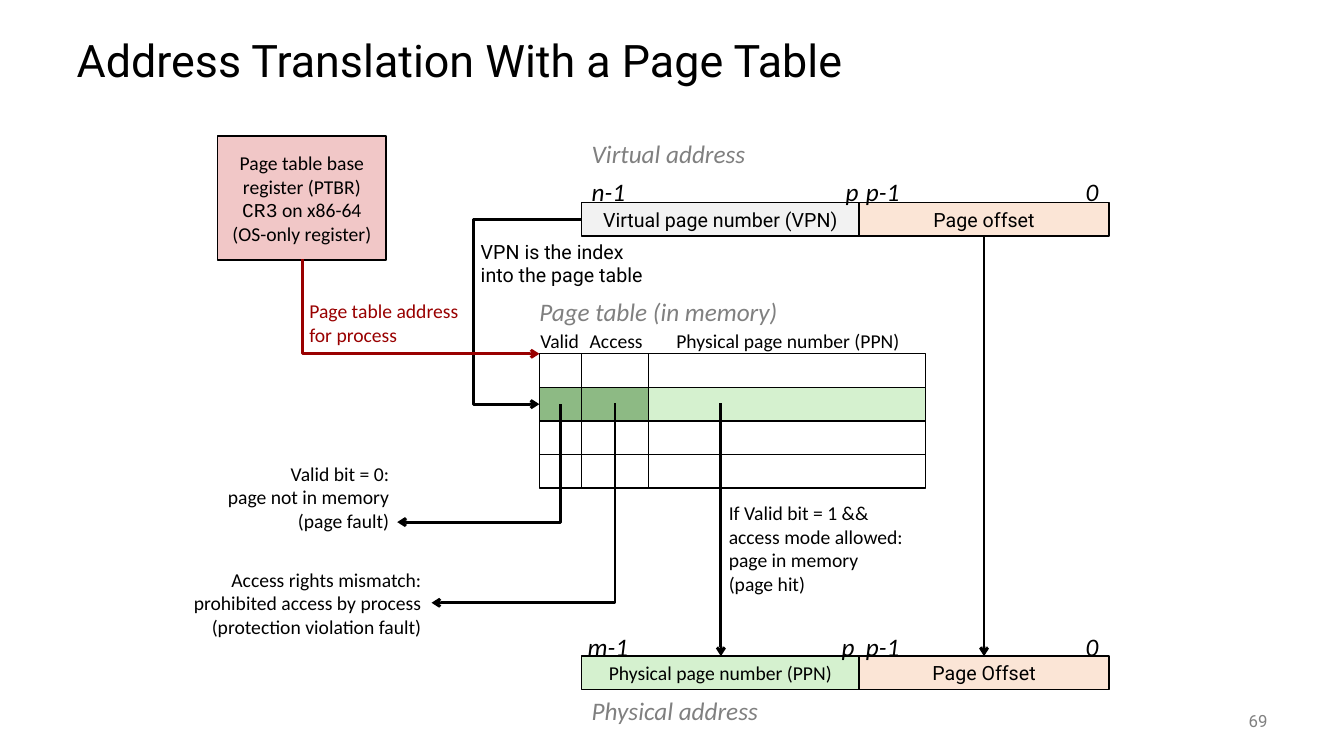
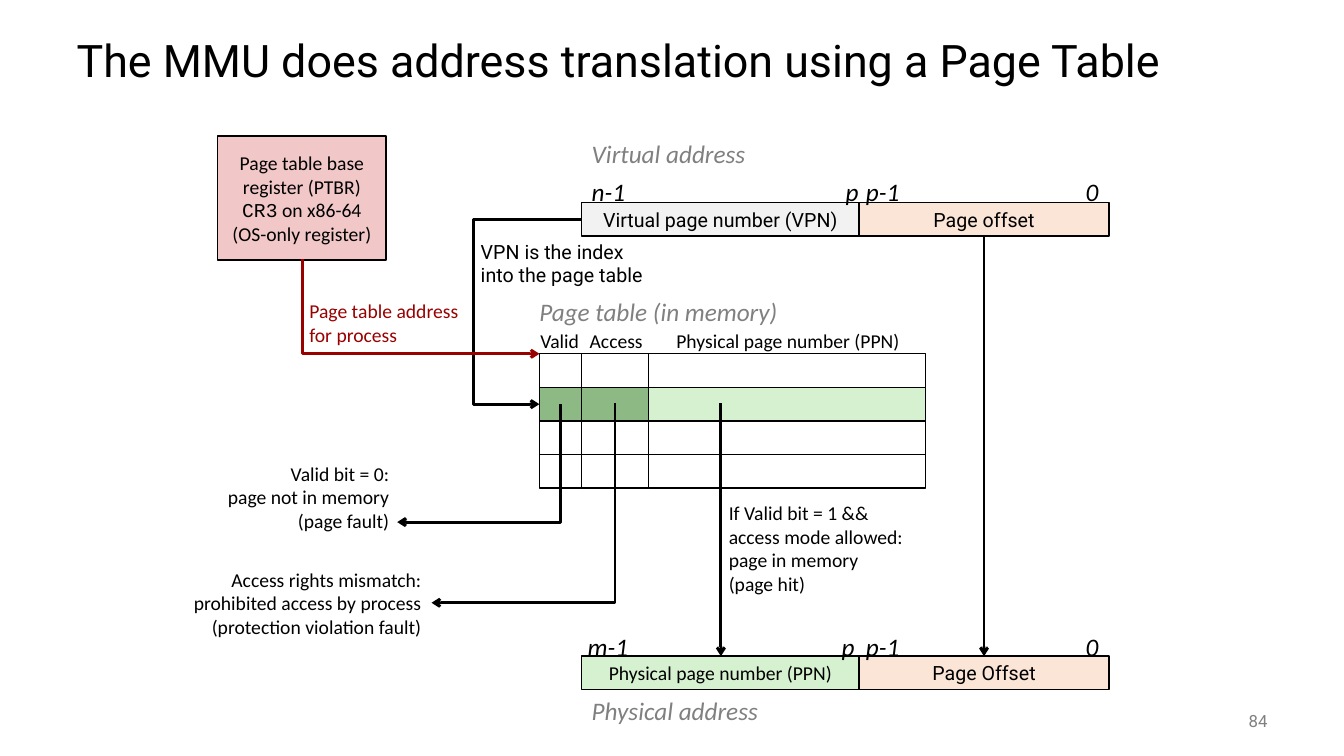
"""Build two slides that show address translation with a page table."""
import pptx
import pptx.util
import pptx.dml.color
import pptx.enum.shapes
import pptx.enum.text
import pptx.oxml.ns
from lxml import etree

Inches = pptx.util.Inches
Pt = pptx.util.Pt
Align = pptx.enum.text.PP_ALIGN
Anchor = pptx.enum.text.MSO_ANCHOR
Fit = pptx.enum.text.MSO_AUTO_SIZE
Link = pptx.enum.shapes.MSO_CONNECTOR
qn = pptx.oxml.ns.qn

HUES = {
    "black": "000000", "gray": "808080", "red": "990000", "pink": "F1C7C7",
    "pale": "F2F2F2", "peach": "FBE5D6", "mint": "D5F1CF", "green": "8DBA84",
}
LOOKS = {
    "title": {"name": "Roboto", "size": Pt(32)},
    "body": {"name": "Calibri", "size": Pt(14)},
    "plain": {"name": "Roboto", "size": Pt(14)},
    "code": {"name": "Courier New", "size": Pt(14)},
    "slant": {"name": "Calibri", "size": Pt(18), "italic": True},
    "foot": {"name": "Roboto", "size": Pt(12)},
}
ROW = 1 / 3


def hue(name):
    """Return the named colour."""
    return pptx.dml.color.RGBColor.from_string(HUES[name])


class Deck:
    """Hold the style and the current slide."""

    def __init__(self):
        """Start an empty wide deck."""
        self.prs = pptx.Presentation()
        self.prs.slide_width = Inches(13.33)
        self.prs.slide_height = Inches(7.5)
        self.slide = None

    def put(self, frame, lines, look, color="black", align=Align.LEFT):
        """Fill a frame, one paragraph a line; a line may be (text, look) pairs."""
        for i, line in enumerate(lines):
            par = frame.add_paragraph() if i else frame.paragraphs[0]
            par.alignment = align
            for text, kind in [(line, look)] if isinstance(line, str) else line:
                run = par.add_run()
                run.text = text
                run.font.color.rgb = hue(color)
                for key, val in LOOKS[kind].items():
                    setattr(run.font, key, val)

    def page(self, title, number):
        """Add a slide with its title and page number."""
        self.slide = self.prs.slides.add_slide(self.prs.slide_layouts[5])
        head = self.slide.shapes.title
        spot = {"left": 0.66, "top": 0.25, "width": 12, "height": 0.75}
        for key, val in spot.items():
            setattr(head, key, Inches(val))
        frame = head.text_frame
        frame.vertical_anchor = Anchor.MIDDLE
        frame.auto_size = Fit.NONE
        self.put(frame, [title], "title")
        frame.paragraphs[0].line_spacing = 0.9
        foot = self.text(11.67, 6.95, 1, 0.4, [str(number)], "foot", "gray",
                         Align.RIGHT, True)
        foot.auto_size = Fit.NONE
        foot.vertical_anchor = Anchor.MIDDLE

    def text(self, x, y, w, h, lines, look="body", color="black",
             align=Align.LEFT, wrap=False):
        """Add a text box and return its frame."""
        box = self.slide.shapes.add_textbox(*map(Inches, (x, y, w, h)))
        frame = box.text_frame
        frame.word_wrap = wrap
        frame.auto_size = Fit.SHAPE_TO_FIT_TEXT
        self.put(frame, lines, look, color, align)
        return frame

    def box(self, x, y, w, h, fill=None, lines=(), look="body"):
        """Add an outlined rectangle with centred text."""
        kind = pptx.enum.shapes.MSO_SHAPE.RECTANGLE
        rect = self.slide.shapes.add_shape(kind, *map(Inches, (x, y, w, h)))
        rect.shadow.inherit = False
        rect.line.color.rgb = hue("black")
        rect.line.width = Pt(1)
        if fill:
            rect.fill.solid()
            rect.fill.fore_color.rgb = hue(fill)
        else:
            rect.fill.background()
        frame = rect.text_frame
        frame.word_wrap = True
        frame.vertical_anchor = Anchor.MIDDLE
        self.put(frame, lines, look, align=Align.CENTER)

    def arrow(self, x1, y1, x2, y2, color="black", kind=Link.STRAIGHT):
        """Add an arrow and return its shape properties."""
        line = self.slide.shapes.add_connector(
            kind, *map(Inches, (x1, y1, x2, y2)))
        line.line.color.rgb = hue(color)
        line.line.width = Pt(2)
        props = line._element.spPr
        etree.SubElement(props.find(qn("a:ln")), qn("a:tailEnd"), type="arrow")
        etree.SubElement(props, qn("a:effectLst"))
        return props

    def drop(self, x1, y1, x2, y2, color="black"):
        """Add an arrow that runs down, then sideways."""
        side = 1 if x2 < x1 else -1
        mx, my = (x1 + x2) / 2, (y1 + y2) / 2
        dx, dy = side * (y2 - y1) / 2, abs(x2 - x1) / 2
        props = self.arrow(mx - dx, my - dy, mx + dx, my + dy, color, Link.ELBOW)
        turn = 90 if side > 0 else 270
        props.find(qn("a:xfrm")).set("rot", str(turn * 60000))
        props.find(qn("a:prstGeom")).set("prst", "bentConnector2")

    def loop(self, x1, y1, x2, y2, via):
        """Add an arrow that runs sideways to via, down and back."""
        props = self.arrow(x1, y1, x2, y2, kind=Link.ELBOW)
        geom = props.find(qn("a:prstGeom"))
        bends = geom.find(qn("a:avLst"))
        if bends is None:
            bends = etree.SubElement(geom, qn("a:avLst"))
        ratio = round((via - x1) / (x2 - x1) * 100000)
        etree.SubElement(bends, qn("a:gd"), name="adj1", fmla=f"val {ratio}")

    def bits(self, y, marks):
        """Label the bit positions above an address."""
        for x, w, mark in marks:
            self.text(x, y, w, 0.4, [mark], "slant")

    def table(self):
        """Draw the page table with its chosen row."""
        cols = [(5.35, 0.42, "green"), (5.77, 0.66, "green"), (6.43, 2.75, "mint")]
        for row in range(4):
            for x, w, fill in cols:
                self.box(x, 3.51 + row * ROW, w, ROW, fill if row == 1 else None)
        self.text(5.25, 2.89, 3.05, 0.4, ["Page table (in memory)"], "slant",
                  "gray", wrap=True)
        heads = [(5.26, 0.61, "Valid"), (5.75, 0.73, "Access"),
                 (6.61, 2.48, "Physical page number (PPN)")]
        for x, w, head in heads:
            self.text(x, 3.21, w, 0.34, [head])

    def scheme(self):
        """Draw the whole translation diagram."""
        self.box(5.77, 2.01, 2.75, ROW, "pale", ["Virtual page number (VPN)"], "plain")
        self.box(8.52, 2.01, 2.48, ROW, "peach", ["Page offset"], "plain")
        self.box(5.77, 6.51, 2.75, ROW, "mint", ["Physical page number (PPN)"])
        self.box(8.52, 6.51, 2.48, ROW, "peach", ["Page Offset"], "plain")
        self.text(5.77, 1.32, 1.78, 0.4, ["Virtual address"], "slant", "gray")
        self.text(5.77, 6.85, 1.91, 0.4, ["Physical address"], "slant", "gray")
        ends = [(8.49, 0.54, "p-1"), (10.67, 0.33, "0")]
        self.bits(1.7, [(5.77, 0.54, "n-1"), (8.29, 0.34, "p"), *ends])
        self.bits(6.21, [(5.73, 0.61, "m-1"), (8.25, 0.34, "p"), *ends])
        self.table()
        self.box(2.16, 1.35, 1.67, 1.23, "pink", [
            "Page table base register (PTBR)",
            [("CR3", "code"), (" on x86-64", "body")],
            "(OS-only register)"])
        self.loop(5.77, 2.18, 5.35, 4.01, 4.7)
        self.arrow(9.76, 2.35, 9.76, 6.51)
        self.arrow(7.15, 4, 7.15, 6.51)
        self.drop(5.56, 4.01, 3.94, 5.18)
        self.drop(6.1, 4, 4.28, 5.98)
        self.drop(3, 2.57, 5.35, 3.51, "red")
        self.text(4.67, 2.33, 1.9, 0.57,
                  ["VPN is the index", "into the page table"], "plain")
        self.text(2.97, 2.92, 1.73, 0.57,
                  ["Page table address", "for process"], color="red")
        self.text(2.12, 4.53, 1.84, 0.81,
                  ["Valid bit = 0:", "page not in memory", "(page fault)"],
                  align=Align.RIGHT)
        self.text(1.75, 5.58, 2.53, 0.81,
                  ["Access rights mismatch:", "prohibited access by process",
                   "(protection violation fault)"], align=Align.RIGHT)
        self.text(7.13, 4.92, 1.94, 1.04,
                  ["If Valid bit = 1 &&", "access mode allowed:",
                   "page in memory", "(page hit)"])


def main():
    """Build and save the deck."""
    deck = Deck()
    pages = [("Address Translation With a Page Table", 69),
             ("The MMU does address translation using a Page Table", 84)]
    for title, number in pages:
        deck.page(title, number)
        deck.scheme()
    deck.prs.save("out.pptx")


if __name__ == "__main__":
    main()
